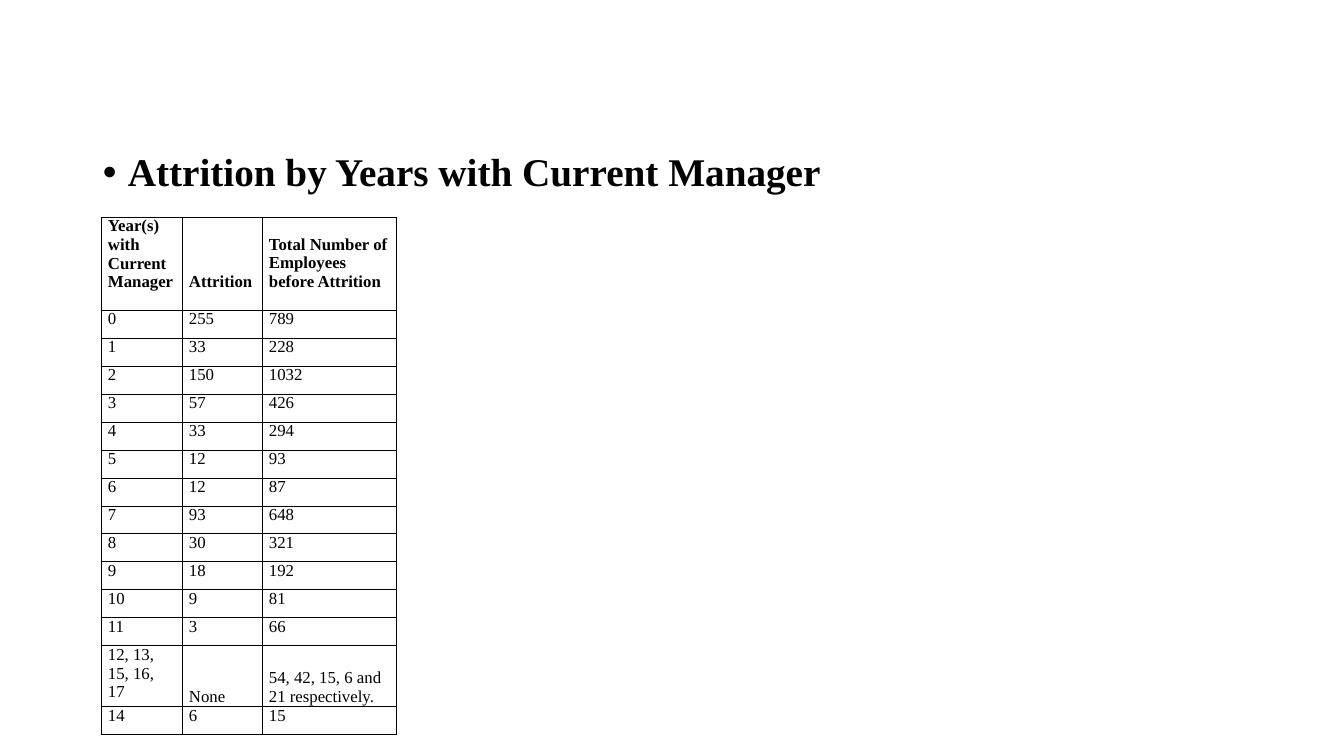
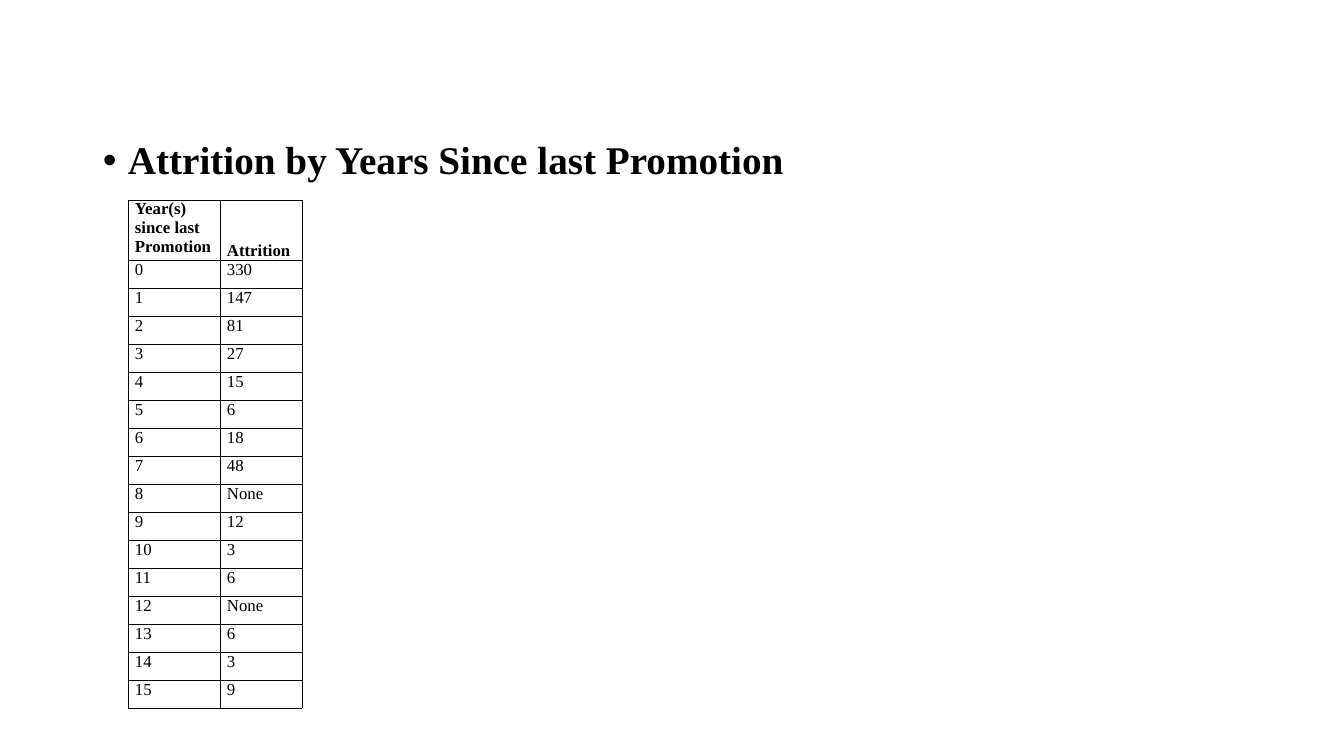
from lxml.etree import SubElement
from pptx import Presentation
from pptx.dml.color import RGBColor as RGB
from pptx.enum.text import MSO_ANCHOR as ANCHOR
from pptx.oxml import parse_xml
from pptx.oxml.ns import nsdecls, qn
from pptx.util import Pt

SCALE = 914400 / 100.8
COLORS = {"ink": "000000"}
FONT = "Times New Roman"
ROW_H = 28
INSET = 7
BORDER_PT = 0.5


def px(n):
    return round(n * SCALE)


def add_run(p, text, size, bold):
    r = p.add_run()
    r.text = text
    r.font.name = FONT
    r.font.size = Pt(size)
    r.font.bold = bold
    r.font.color.rgb = RGB.from_string(COLORS["ink"])


SLIDES = [
    {
        "title": "Attrition by Years with Current Manager",
        "title_top": 148,
        "left": 101,
        "top": 217,
        "widths": [81, 80, 134],
        "tall_rows": {0: (93, 19), 13: (56, 0)},
        "rows": [
            ("Year(s) with Current Manager", "Attrition",
             "Total Number of Employees before Attrition"),
            ("0", "255", "789"),
            ("1", "33", "228"),
            ("2", "150", "1032"),
            ("3", "57", "426"),
            ("4", "33", "294"),
            ("5", "12", "93"),
            ("6", "12", "87"),
            ("7", "93", "648"),
            ("8", "30", "321"),
            ("9", "18", "192"),
            ("10", "9", "81"),
            ("11", "3", "66"),
            ("12, 13, 15, 16, 17", "None", "54, 42, 15, 6 and 21 respectively."),
            ("14", "6", "15"),
        ],
    },
    {
        "title": "Attrition by Years Since last Promotion",
        "title_top": 136,
        "left": 128,
        "top": 200,
        "widths": [92, 82],
        "tall_rows": {0: (56, 0)},
        "rows": [
            ("Year(s) since last Promotion", "Attrition"),
            ("0", "330"),
            ("1", "147"),
            ("2", "81"),
            ("3", "27"),
            ("4", "15"),
            ("5", "6"),
            ("6", "18"),
            ("7", "48"),
            ("8", "None"),
            ("9", "12"),
            ("10", "3"),
            ("11", "6"),
            ("12", "None"),
            ("13", "6"),
            ("14", "3"),
            ("15", "9"),
        ],
    },
]
TITLE_LEFT, TITLE_W, TITLE_BOTTOM = 93, 1159, 710

prs = Presentation()
prs.slide_width, prs.slide_height = px(1344), px(756)

for data in SLIDES:
    s = prs.slides.add_slide(prs.slide_layouts[6])

    title_top = data["title_top"]
    sp = s.shapes.add_textbox(px(TITLE_LEFT), px(title_top),
                              px(TITLE_W), px(TITLE_BOTTOM - title_top))
    tf = sp.text_frame
    tf.word_wrap = True
    p = tf.paragraphs[0]
    p.line_spacing = 0.9
    p.space_before = Pt(10)
    pPr = p._p.get_or_add_pPr()
    pPr.set("marL", str(px(25)))
    pPr.set("indent", str(-px(25)))
    SubElement(pPr, qn("a:buFont")).set("typeface", "Arial")
    SubElement(pPr, qn("a:buChar")).set("char", "•")
    add_run(p, data["title"], 28, True)

    rows, widths, tall_rows = data["rows"], data["widths"], data["tall_rows"]
    heights = [tall_rows.get(i, (ROW_H, 0))[0] for i in range(len(rows))]
    table = s.shapes.add_table(len(rows), len(widths), px(data["left"]), px(data["top"]),
                               px(sum(widths)), px(sum(heights))).table
    table.first_row = False
    table.horz_banding = False
    for col, width in zip(table.columns, widths):
        col.width = px(width)

    for i, values in enumerate(rows):
        table.rows[i].height = px(heights[i])
        for j, text in enumerate(values):
            cell = table.cell(i, j)
            cell.margin_left = cell.margin_right = px(INSET)
            cell.margin_top = cell.margin_bottom = 0
            cell.vertical_anchor = ANCHOR.TOP
            if i in tall_rows and j > 0:
                cell.vertical_anchor = ANCHOR.BOTTOM
                cell.margin_bottom = px(tall_rows[i][1])
            cell.fill.background()
            tcPr = cell._tc.get_or_add_tcPr()
            for k, side in enumerate("LRTB"):
                tcPr.insert(k, parse_xml(
                    f'<a:ln{side} {nsdecls("a")} w="{Pt(BORDER_PT)}"><a:solidFill>'
                    f'<a:srgbClr val="{COLORS["ink"]}"/></a:solidFill></a:ln{side}>'))
            add_run(cell.text_frame.paragraphs[0], text, 12, i == 0)

prs.save("out.pptx")
